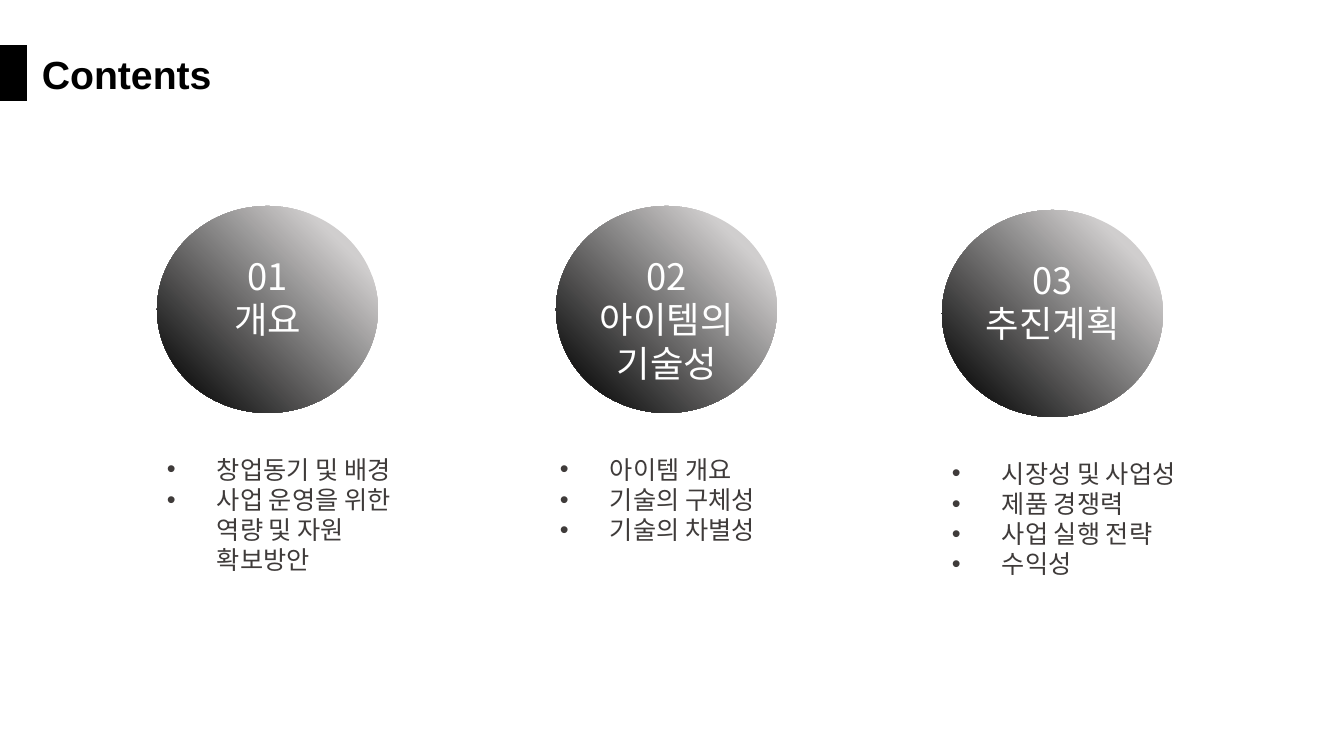
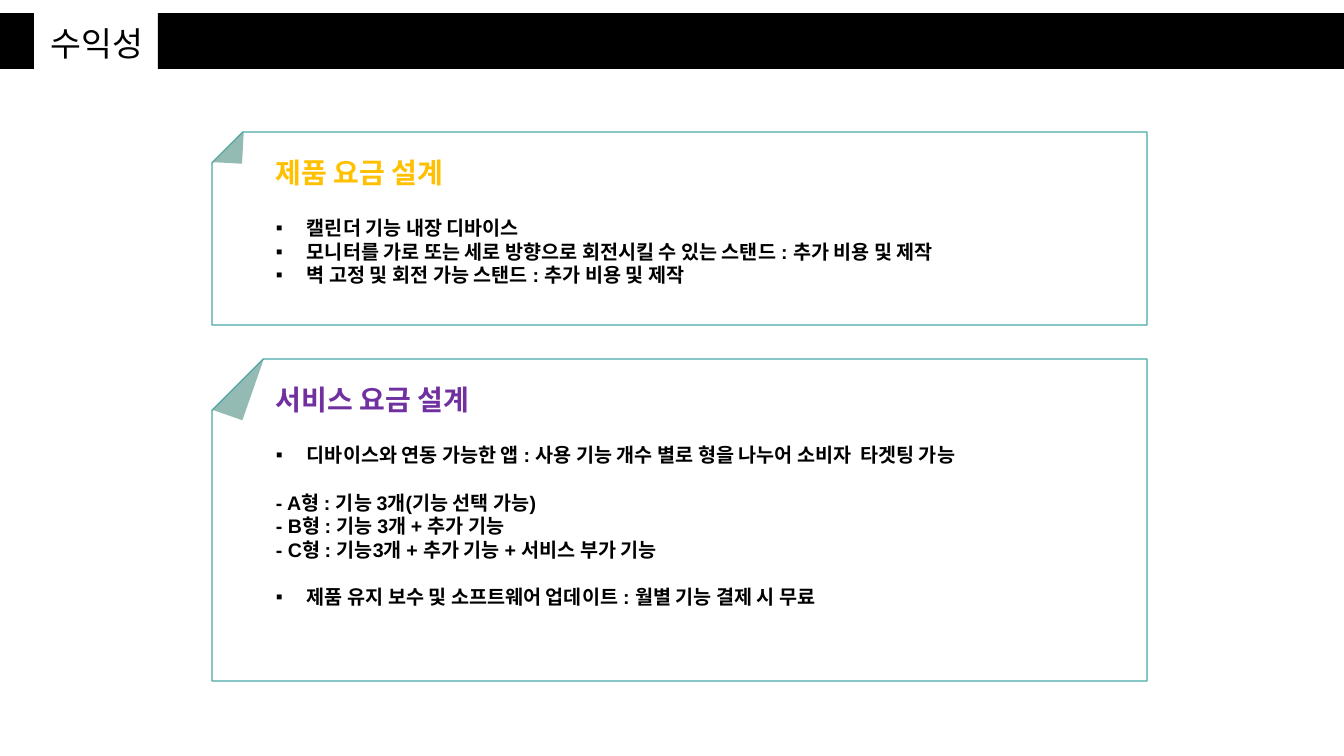
"""Builds the contents slide and the pricing slide."""
from lxml import etree
from pptx import Presentation
from pptx.dml.color import RGBColor
from pptx.enum.shapes import MSO_SHAPE
from pptx.enum.text import PP_ALIGN
from pptx.oxml.ns import qn
from pptx.util import Emu, Pt

RECT = MSO_SHAPE.RECTANGLE
ELLIPSE = MSO_SHAPE.OVAL
SNIPPED = MSO_SHAPE.SNIP_1_RECTANGLE
TRIANGLE = MSO_SHAPE.RIGHT_TRIANGLE
LEFT = PP_ALIGN.LEFT
CENTER = PP_ALIGN.CENTER

BLACK = RGBColor(0x00, 0x00, 0x00)
WHITE = RGBColor(0xFF, 0xFF, 0xFF)
SILVER = RGBColor(0xD0, 0xCE, 0xCE)
CHARCOAL = RGBColor(0x1A, 0x1A, 0x1A)
BODY = RGBColor(0x3F, 0x3B, 0x3A)
TEAL = RGBColor(0x49, 0xA6, 0xA6)
FOLD = RGBColor(0x75, 0xA9, 0x9E)
AMBER = RGBColor(0xFF, 0xC0, 0x00)
PURPLE = RGBColor(0x70, 0x30, 0xA0)

LATIN = "Arial"
KOREAN = "Noto Sans CJK KR"
EMU_PER_INCH = 914400
PX_PER_INCH = 100.8


def px(length):
    return Emu(round(length * EMU_PER_INCH / PX_PER_INCH))


def write(frame, text, size=14, color=BLACK, bold=False, font=LATIN,
          align=LEFT, bullet=None, indent=0, gap=0):
    paragraph = frame.add_paragraph() if frame.text else frame.paragraphs[0]
    paragraph.alignment = align
    if bullet:
        props = paragraph._p.get_or_add_pPr()
        props.set("marL", str(px(indent)))
        props.set("indent", str(-px(indent)))
        etree.SubElement(props, qn("a:buFont")).set("typeface", LATIN)
        etree.SubElement(props, qn("a:buChar")).set("char", bullet)
    if gap:
        paragraph.space_before = Pt(gap)
    run = paragraph.add_run()
    run.text = text
    run.font.size = Pt(size)
    run.font.bold = bold
    run.font.color.rgb = color
    run.font.name = font
    etree.SubElement(run._r.get_or_add_rPr(), qn("a:ea")).set("typeface", KOREAN)


class Deck:
    """Holds the shared style and the current slide."""

    def __init__(self):
        self.presentation = Presentation()
        self.presentation.slide_width = px(1344)
        self.presentation.slide_height = px(756)
        self.slide = None

    def new_slide(self, title, x, y, tab_y, tab_width, **style):
        blank = self.presentation.slide_layouts[6]
        self.slide = self.presentation.slides.add_slide(blank)
        self.shape(RECT, 0, tab_y, tab_width, 56, BLACK)
        write(self.frame(x, y, 341, 57), title, **style)

    def frame(self, x, y, width, height):
        box = self.slide.shapes.add_textbox(px(x), px(y), px(width), px(height))
        box.text_frame.word_wrap = True
        return box.text_frame

    def shape(self, kind, x, y, width, height, fill=None, line=None, mirrored=False):
        shape = self.slide.shapes.add_shape(kind, px(x), px(y), px(width), px(height))
        shape.shadow.inherit = False
        if fill is not None:
            shape.fill.solid()
            shape.fill.fore_color.rgb = fill
        if line is None:
            shape.line.fill.background()
        else:
            shape.line.color.rgb = line
            shape.line.width = Pt(1)
        if mirrored:
            shape._element.spPr.find(qn("a:xfrm")).set("flipH", "1")
        return shape

    def ball(self, x, y, lines):
        ball = self.shape(ELLIPSE, x, y, 221, 207)
        ball.fill.gradient()
        ball.fill.gradient_angle = 225
        stops = ((0.17, SILVER), (0.85, CHARCOAL))
        for stop, (position, color) in zip(ball.fill.gradient_stops, stops):
            stop.position = position
            stop.color.rgb = color
        caption = self.frame(x - 6, y + 43, 234, 142)
        for line in lines:
            write(caption, line, size=26, color=WHITE, font=KOREAN, align=CENTER)

    def bullets(self, x, y, width, items):
        topics = self.frame(x, y, width, 163)
        for item in items:
            write(topics, item, size=18, color=BODY, font=KOREAN, bullet="•", indent=50)

    def card(self, y, height, fold, fold_angle, heading, heading_color, lines):
        card = self.shape(SNIPPED, 212, y, 935, height, WHITE, TEAL, mirrored=True)
        card.adjustments[0] = 0.16
        corner = self.shape(TRIANGLE, *fold, FOLD, mirrored=True)
        corner.rotation = fold_angle
        color = corner._element.spPr.find(qn("a:solidFill"))[0]
        etree.SubElement(color, qn("a:alpha")).set("val", "78000")
        details = self.frame(266, y + 19, 782, height - 25)
        write(details, heading, size=20, color=heading_color, bold=True)
        for text, bullet, gap in lines:
            write(details, text, bold=True, bullet=bullet, indent=31, gap=gap)


def add_contents(deck):
    deck.new_slide("Contents", 32, 45, 45, 27, size=28, bold=True)
    sections = (
        (157, 206, ("01", "개요"), 157, 281,
         ("창업동기 및 배경", "사업 운영을 위한 역량 및 자원 확보방안")),
        (556, 206, ("02", "아이템의", "기술성"), 550, 259,
         ("아이템 개요", "기술의 구체성", "기술의 차별성")),
        (942, 210, ("03", "추진계획"), 942, 259,
         ("시장성 및 사업성", "제품 경쟁력", "사업 실행 전략", "수익성")),
    )
    for x, y, caption, list_x, list_width, topics in sections:
        deck.ball(x, y, caption)
        deck.bullets(list_x, y + 243, list_width, topics)


def add_pricing(deck):
    deck.new_slide("수익성", 41, 18, 13, 34, size=24, font=KOREAN)
    deck.shape(RECT, 158, 13, 1186, 56, BLACK)
    deck.card(132, 193, (213, 131, 30, 32), 3.1, "제품 요금 설계", AMBER, (
        ("캘린더 기능 내장 디바이스", "▪", 19),
        ("모니터를 가로 또는 세로 방향으로 회전시킬 수 있는 스탠드 : 추가 비용 및 제작", "▪", 0),
        ("벽 고정 및 회전 가능 스탠드 : 추가 비용 및 제작", "▪", 0),
    ))
    deck.card(359, 322, (223, 352, 31, 65), 19.2, "서비스 요금 설계", PURPLE, (
        ("디바이스와 연동 가능한 앱 : 사용 기능 개수 별로 형을 나누어 소비자  타겟팅 가능", "▪", 19),
        ("- A형 : 기능 3개(기능 선택 가능)", None, 17),
        ("- B형 : 기능 3개 + 추가 기능", None, 0),
        ("- C형 : 기능3개 + 추가 기능 + 서비스 부가 기능", None, 0),
        ("제품 유지 보수 및 소프트웨어 업데이트 : 월별 기능 결제 시 무료", "▪", 17),
    ))


def main():
    deck = Deck()
    add_contents(deck)
    add_pricing(deck)
    deck.presentation.save("out.pptx")


if __name__ == "__main__":
    main()
